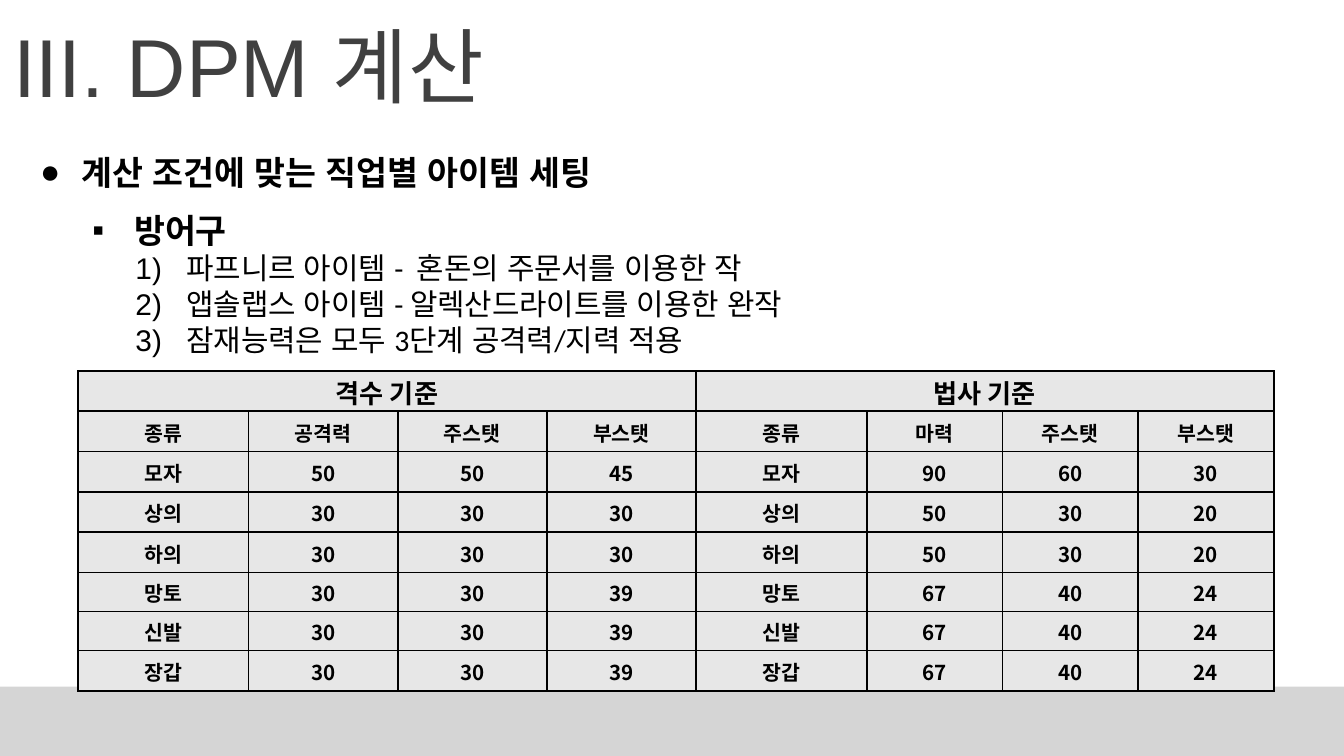
"""Build the DPM calculation slide with its armour stat table."""
from pptx import Presentation
from pptx.dml.color import RGBColor
from pptx.enum.shapes import MSO_SHAPE
from pptx.enum.text import MSO_ANCHOR, MSO_AUTO_SIZE, PP_ALIGN
from pptx.oxml import parse_xml
from pptx.oxml.ns import nsdecls
from pptx.util import Inches, Pt

RECTANGLE = MSO_SHAPE.RECTANGLE
MIDDLE, TOP = MSO_ANCHOR.MIDDLE, MSO_ANCHOR.TOP
CENTER, LEFT = PP_ALIGN.CENTER, PP_ALIGN.LEFT
GROW = MSO_AUTO_SIZE.SHAPE_TO_FIT_TEXT
BLACK, TITLE_GREY, CELL_GREY, BAND_GREY = "000000", "404040", "E7E7E7", "D5D5D5"
PAGE_WIDTH = Inches(10)
PAGE_HEIGHT = PAGE_WIDTH * 9 // 16
BAND_TOP = Inches(5.11)

TITLE = "III. DPM 계산"
HEADING = "계산 조건에 맞는 직업별 아이템 세팅"
SUBHEADING = "방어구"
CONDITIONS = [
    "파프니르 아이템 -  혼돈의 주문서를 이용한 작",
    "앱솔랩스 아이템 - 알렉산드라이트를 이용한 완작",
    "잠재능력은 모두 3단계 공격력/지력 적용",
]
GROUPS = ["격수 기준", "법사 기준"]
COLUMNS = [["종류", "공격력", "주스탯", "부스탯"], ["종류", "마력", "주스탯", "부스탯"]]
ARMOUR = [
    ("모자", (50, 50, 45), (90, 60, 30)),
    ("상의", (30, 30, 30), (50, 30, 20)),
    ("하의", (30, 30, 30), (50, 30, 20)),
    ("망토", (30, 30, 39), (67, 40, 24)),
    ("신발", (30, 30, 39), (67, 40, 24)),
    ("장갑", (30, 30, 39), (67, 40, 24)),
]
COLUMN_WIDTHS = [1.27] + [1.11] * 3 + [1.27] + [1.01] * 3
ROW_HEIGHTS = [0.3] * 5 + [0.29] * 2 + [0.3]


def color(value):
    return RGBColor.from_string(value)


def write(frame, lines, size, font, fill=BLACK, bold=False, align=LEFT,
          anchor=TOP, bullets=(), indent=0, asian_font=None):
    frame.vertical_anchor = anchor
    for index, line in enumerate(lines):
        para = frame.paragraphs[0] if index == 0 else frame.add_paragraph()
        para.alignment = align
        if bullets:
            properties = para._p.get_or_add_pPr()
            properties.set("marL", str(Inches(indent)))
            properties.set("indent", str(-Inches(indent)))
            for element in bullets:
                properties.append(parse_xml(element))
        span = para.add_run()
        span.text = line
        span.font.size = Pt(size)
        span.font.name = font
        span.font.bold = bold
        span.font.color.rgb = color(fill)
        if asian_font:
            span.font._element.append(
                parse_xml(f'<a:ea {nsdecls("a")} typeface="{asian_font}"/>'))


def character_bullet(symbol):
    return (f'<a:buFont {nsdecls("a")} typeface="Arial"/>',
            f'<a:buChar {nsdecls("a")} char="{symbol}"/>')


def add_text(page, lines, left, top, width, height, wrap=True, grow=True, **style):
    box = page.shapes.add_textbox(*map(Inches, (left, top, width, height)))
    box.text_frame.word_wrap = wrap
    if grow:
        box.text_frame.auto_size = GROW
    write(box.text_frame, lines, **style)


def style_cell(cell):
    cell.margin_left = cell.margin_right = cell.margin_top = Inches(0.01)
    cell.margin_bottom = 0
    cell.vertical_anchor = MIDDLE
    cell.fill.solid()
    cell.fill.fore_color.rgb = color(CELL_GREY)
    properties = cell._tc.get_or_add_tcPr()
    for index, side in enumerate("LRTB"):
        properties.insert(index, parse_xml(
            f'<a:ln{side} {nsdecls("a")} w="{Pt(1)}"><a:solidFill>'
            f'<a:srgbClr val="{BLACK}"/></a:solidFill></a:ln{side}>'))


def add_armour_table(page):
    rows = [[GROUPS[0], "", "", "", GROUPS[1], "", "", ""], COLUMNS[0] + COLUMNS[1]]
    rows += [[part, *fighter, part, *mage] for part, fighter, mage in ARMOUR]
    table = page.shapes.add_table(
        len(rows), len(COLUMN_WIDTHS), Inches(0.58), Inches(2.76),
        Inches(sum(COLUMN_WIDTHS)), Inches(sum(ROW_HEIGHTS))).table
    for column, width in zip(table.columns, COLUMN_WIDTHS):
        column.width = Inches(width)
    for row, height in zip(table.rows, ROW_HEIGHTS):
        row.height = Inches(height)
    for row_index, values in enumerate(rows):
        for column_index, value in enumerate(values):
            cell = table.cell(row_index, column_index)
            style_cell(cell)
            if value != "":
                write(cell.text_frame, [str(value)], size=11 if row_index else 14,
                      font="Noto Sans CJK KR" if row_index > 1 else "Arial",
                      bold=True, align=CENTER, anchor=MIDDLE)
    for start in (0, 4):
        table.cell(0, start).merge(table.cell(0, start + 3))


def main():
    deck = Presentation()
    deck.slide_width, deck.slide_height = PAGE_WIDTH, PAGE_HEIGHT
    page = deck.slides.add_slide(deck.slide_layouts[6])

    band = page.shapes.add_shape(
        RECTANGLE, 0, BAND_TOP, PAGE_WIDTH, PAGE_HEIGHT - BAND_TOP)
    band.shadow.inherit = False
    band.fill.solid()
    band.fill.fore_color.rgb = color(BAND_GREY)
    band.line.fill.background()

    add_text(page, [TITLE], 0, 0, 10, 0.97, grow=False,
             size=44, font="Arial", fill=TITLE_GREY, anchor=MIDDLE)
    body = {"font": "Calibri", "asian_font": "Arial"}
    add_text(page, [HEADING], 0.2, 1.08, 5.19, 0.4, size=18, bold=True,
             bullets=character_bullet("●"), indent=0.31, **body)
    add_text(page, [SUBHEADING], 0.59, 1.51, 4.57, 0.4, size=18, bold=True,
             bullets=character_bullet("▪"), indent=0.31, **body)
    add_armour_table(page)
    numbering = f'<a:buAutoNum {nsdecls("a")} type="arabicParenR"/>'
    add_text(page, CONDITIONS, 0.91, 1.81, 5.34, 0.91, wrap=False, size=16,
             bullets=(numbering,), indent=0.38, **body)
    deck.save("out.pptx")


if __name__ == "__main__":
    main()
